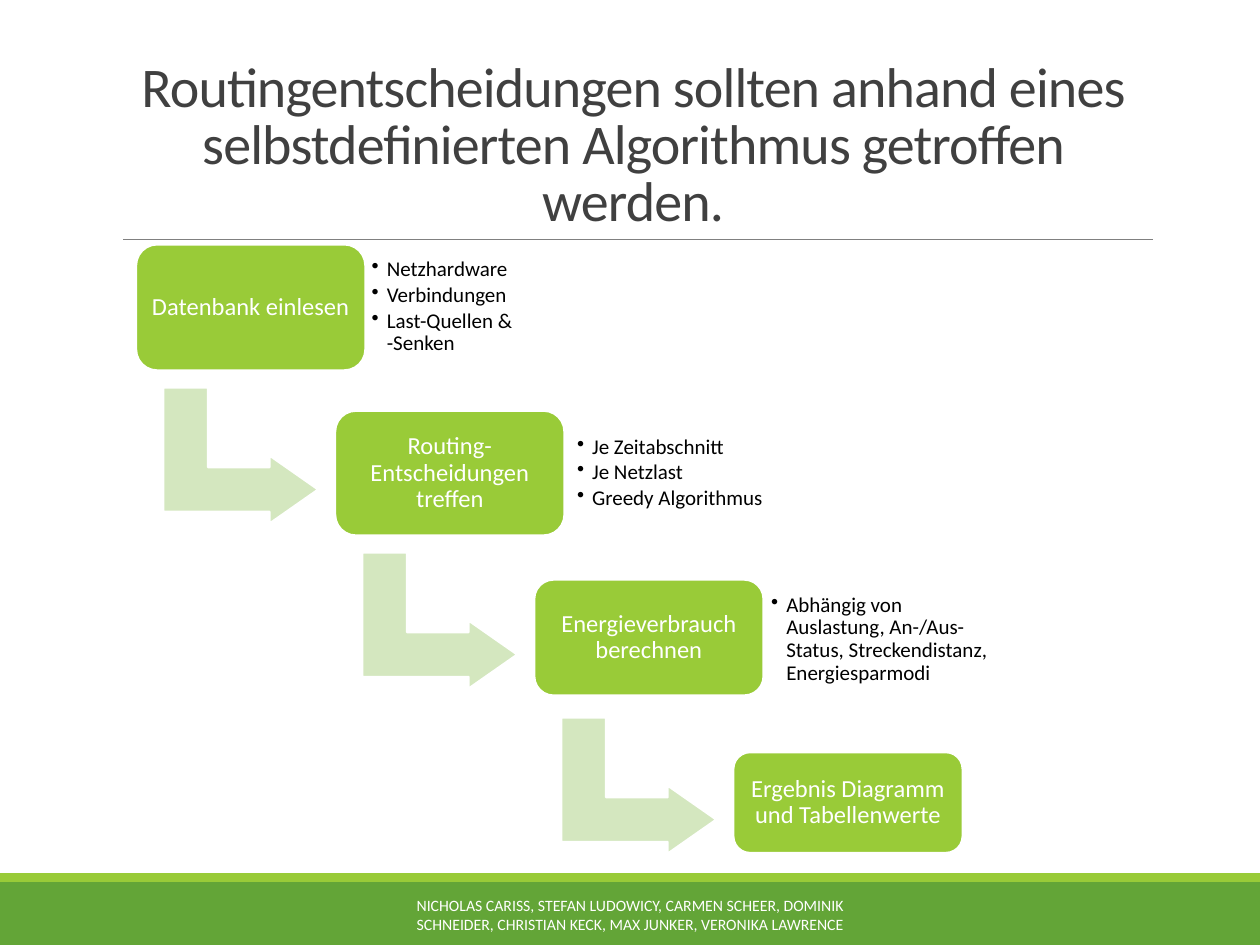
import lxml.etree
import pptx
import pptx.dml.color
import pptx.enum.shapes
import pptx.enum.text
import pptx.oxml.ns
import pptx.util

Inches = pptx.util.Inches
Pt = pptx.util.Pt
RGBColor = pptx.dml.color.RGBColor
Shapes = pptx.enum.shapes.MSO_SHAPE
Align = pptx.enum.text.PP_ALIGN
Anchor = pptx.enum.text.MSO_ANCHOR
qn = pptx.oxml.ns.qn

GREEN = RGBColor(0x63, 0xA5, 0x37)
LIME = RGBColor(0x99, 0xCB, 0x38)
PALE = RGBColor(0xD4, 0xE7, 0xBF)
GRAY = RGBColor(0x80, 0x80, 0x80)
DARK = RGBColor(0x40, 0x40, 0x40)
WHITE = RGBColor(0xFF, 0xFF, 0xFF)
BLACK = RGBColor(0, 0, 0)

STEP_X, STEP_WIDTH, STEP_SHIFT = 1.08, 1.82, 1.58
ARROW_X, ARROW_Y, ARROW_DROP = 1.37, 3, 1.31

STEPS = [
    ("Datenbank einlesen", 1.94, 1),
    ("Routing-Entscheidungen treffen", 3.26, 0.99),
    ("Energieverbrauch berechnen", 4.6, 0.92),
    ("Ergebnis Diagramm und Tabellenwerte", 5.97, 0.8),
]
DETAILS = [
    ((2.9, 1.92, 1.61, 1.03), ["Netzhardware", "Verbindungen", "Last-Quellen & -Senken"]),
    ((4.53, 3.24, 1.64, 1.03), ["Je Zeitabschnitt", "Je Netzlast", "Greedy Algorithmus"]),
    ((6.07, 4.56, 1.88, 1.03),
     ["Abhängig von Auslastung, An-/Aus-Status, Streckendistanz, Energiesparmodi"]),
]


def apply_format(target, values):
    for name, value in values.items():
        setattr(target, name, value)


class SlideBuilder:
    font_name = "Calibri"

    def __init__(self, slide):
        self.slide = slide

    def shape(self, kind, box, fill, outline=None, adjustments=()):
        shape = self.slide.shapes.add_shape(kind, *map(Inches, box))
        shape.shadow.inherit = False
        shape.fill.solid()
        shape.fill.fore_color.rgb = fill
        if outline is None:
            shape.line.fill.background()
        else:
            shape.line.color.rgb = outline
            shape.line.width = Pt(1.25)
        for index, value in enumerate(adjustments):
            shape.adjustments[index] = value
        return shape

    def rule(self, start, end):
        line = self.slide.shapes.add_connector(
            pptx.enum.shapes.MSO_CONNECTOR.STRAIGHT, *map(Inches, start + end))
        line.line.color.rgb = GRAY
        line.line.width = Pt(0.5)
        lxml.etree.SubElement(line._element.spPr, qn("a:effectLst"))

    def fill_text(self, shape, texts, size, color, margins=(0.1, 0.05),
                  anchor=Anchor.MIDDLE, paragraph_format=None):
        horizontal, vertical = map(Inches, margins)
        frame = shape.text_frame
        apply_format(frame, {
            "word_wrap": True, "vertical_anchor": anchor,
            "margin_left": horizontal, "margin_right": horizontal,
            "margin_top": vertical, "margin_bottom": vertical,
        })
        for index, text in enumerate(texts):
            paragraph = frame.add_paragraph() if index else frame.paragraphs[0]
            apply_format(paragraph, {"alignment": Align.CENTER, **(paragraph_format or {})})
            run = paragraph.add_run()
            run.text = text
            apply_format(run.font, {"name": self.font_name, "size": Pt(size)})
            run.font.color.rgb = color
        return frame

    def text(self, box, texts, size, color, **options):
        shape = self.slide.shapes.add_textbox(*map(Inches, box))
        return self.fill_text(shape, texts, size, color, **options)

    def title(self, box, text):
        frame = self.text(box, [text], 32, DARK, anchor=Anchor.BOTTOM,
                          paragraph_format={"line_spacing": 0.85})
        frame.paragraphs[0].runs[0]._r.get_or_add_rPr().set("spc", "-50")

    def step(self, box, text):
        shape = self.shape(Shapes.ROUNDED_RECTANGLE, box, LIME, WHITE, [0.167])
        self.fill_text(shape, [text], 14, WHITE, margins=(0.06, 0.06),
                       paragraph_format={"line_spacing": 0.9})

    def arrow(self, box):
        shape = self.shape(Shapes.BENT_UP_ARROW, box, PALE, WHITE, [0.328, 0.25, 0.358])
        shape.rotation = 90

    def bullets(self, box, items):
        frame = self.text(box, items, 12, BLACK, margins=(0.05, 0.05), paragraph_format={
            "alignment": Align.LEFT, "level": 1,
            "line_spacing": 0.9, "space_after": Pt(1.8)})
        for paragraph in frame.paragraphs:
            properties = paragraph._p.get_or_add_pPr()
            properties.set("marL", str(Inches(0.12)))
            properties.set("indent", str(Inches(-0.12)))
            lxml.etree.SubElement(properties, qn("a:buChar")).set("char", "•")


def main():
    presentation = pptx.Presentation()
    presentation.slide_width = Inches(10)
    presentation.slide_height = Inches(7.5)
    builder = SlideBuilder(presentation.slides.add_slide(presentation.slide_layouts[6]))

    builder.shape(Shapes.RECTANGLE, (0, 7, 10, 0.5), GREEN)
    builder.shape(Shapes.RECTANGLE, (0, 6.93, 10, 0.07), LIME)
    builder.rule((0.98, 1.9), (9.15, 1.9))
    builder.title((0.9, 0.31, 8.25, 1.59),
                  "Routingentscheidungen sollten anhand eines selbstdefinierten "
                  "Algorithmus getroffen werden.")
    builder.text((3.02, 7.06, 3.96, 0.4),
                 ["NICHOLAS CARISS, STEFAN LUDOWICY, CARMEN SCHEER, DOMINIK SCHNEIDER, "
                  "CHRISTIAN KECK, MAX JUNKER, VERONIKA LAWRENCE"], 9, WHITE)

    for index, (text, top, height) in enumerate(STEPS):
        shift = index * STEP_SHIFT
        if index < len(STEPS) - 1:
            builder.arrow((ARROW_X + shift, ARROW_Y + index * ARROW_DROP, 1.08, 1.23))
        builder.step((STEP_X + shift, top, STEP_WIDTH, height), text)
    for box, items in DETAILS:
        builder.bullets(box, items)

    presentation.save("out.pptx")


if __name__ == "__main__":
    main()
